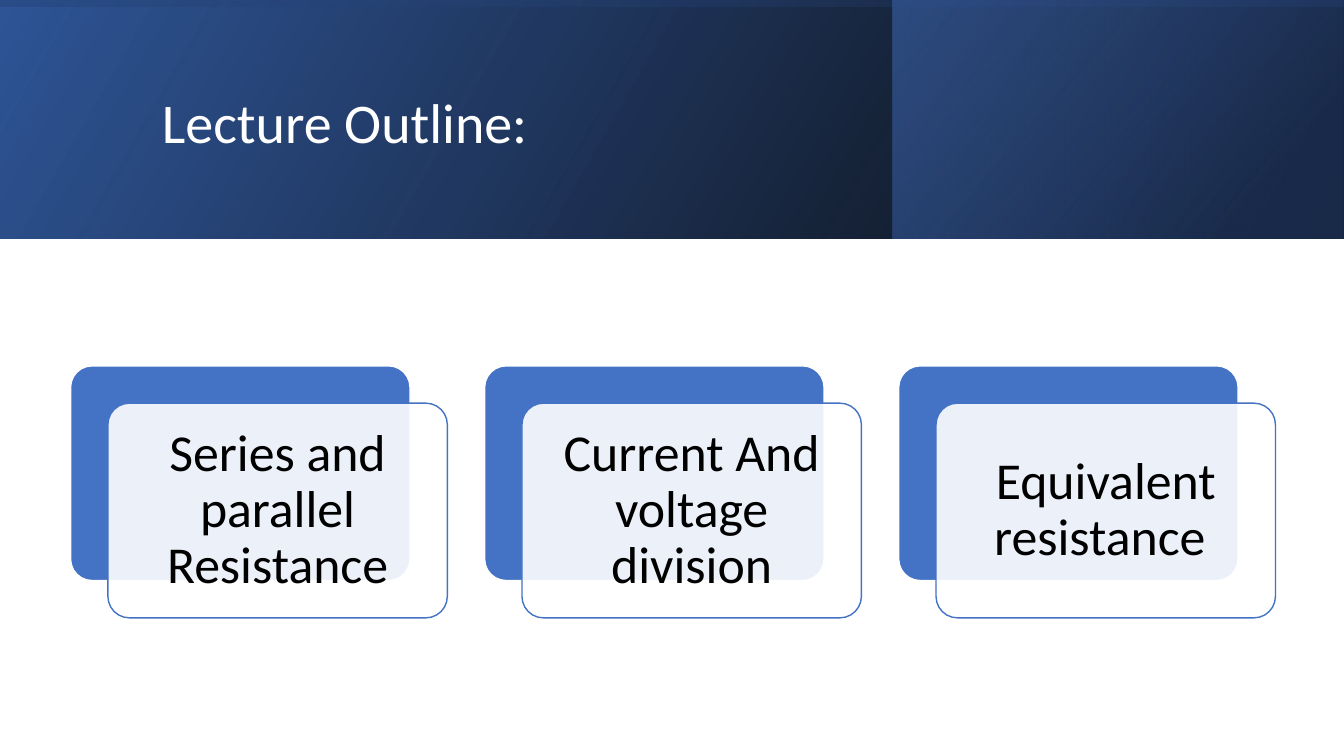
import lxml.etree
import pptx
import pptx.dml.color
import pptx.enum.shapes
import pptx.enum.text
import pptx.oxml
import pptx.oxml.ns
import pptx.util

COLORS = {"black": "000000", "white": "FFFFFF", "navy": "203864",
          "deep": "2F5597", "blue": "4472C4"}
SLIDE_W, SLIDE_H = 13.33, 7.5
BAND_H = 2.37
TOPICS = ["Series and parallel Resistance", "Current And voltage division",
          "Equivalent resistance "]
SHAPES = pptx.enum.shapes.MSO_SHAPE
ALIGN = pptx.enum.text.PP_ALIGN
MIDDLE = pptx.enum.text.MSO_ANCHOR.MIDDLE
qn = pptx.oxml.ns.qn


def rgb(name):
    """Return the named palette colour."""
    return pptx.dml.color.RGBColor.from_string(COLORS[name])


def inches(*values):
    """Convert numbers to inch lengths."""
    return [pptx.util.Inches(v) for v in values]


def set_alpha(color_el, percent):
    """Give a colour element an opacity in percent."""
    lxml.etree.SubElement(color_el, qn("a:alpha")).set("val", str(percent * 1000))


def set_gradient(sp, stops, angle):
    """Fill a shape with a linear gradient of (position, colour, opacity) stops."""
    grad = pptx.oxml.parse_xml(
        f'<a:gradFill {pptx.oxml.ns.nsdecls("a")} rotWithShape="1"><a:gsLst/>'
        f'<a:lin ang="{angle * 60000}" scaled="0"/></a:gradFill>')
    for pos, name, opacity in stops:
        gs = lxml.etree.SubElement(grad[0], qn("a:gs"), pos=str(pos * 1000))
        color = lxml.etree.SubElement(gs, qn("a:srgbClr"), val=COLORS[name])
        set_alpha(color, opacity)
    sp._element.spPr.find(qn("a:prstGeom")).addnext(grad)


def set_text(tf, text, size, color, align, after, insets):
    """Write one formatted, vertically centred paragraph into a text frame."""
    tf.text = text
    left, top, right, bottom = inches(*insets)
    frame = {"word_wrap": True, "vertical_anchor": MIDDLE,
             "auto_size": pptx.enum.text.MSO_AUTO_SIZE.NONE,
             "margin_left": left, "margin_top": top,
             "margin_right": right, "margin_bottom": bottom}
    p = tf.paragraphs[0]
    para = {"alignment": align, "line_spacing": 0.9,
            "space_before": pptx.util.Pt(0), "space_after": pptx.util.Pt(after)}
    font = {"name": "Calibri", "size": pptx.util.Pt(size)}
    r = p.runs[0]
    for target, values in ((tf, frame), (p, para), (r.font, font)):
        for key, value in values.items():
            setattr(target, key, value)
    r.font.color.rgb = rgb(color)


def add_header(slide, x, y, w, h):
    """Draw the layered gradient band and its title."""
    side = w * 0.336
    layers = [
        ((x, y, w, h), 0, 330, [(0, "black", 96), (100, "deep", 100)]),
        ((x + w - side, y, side, h), 0, 320,
         [(19, "navy", 68), (100, "blue", 48)]),
        ((x + (w - h) / 2, y + (h - w) / 2, h, w), 270, 350,
         [(23, "deep", 16), (99, "black", 45)]),
    ]
    for box, rotation, angle, stops in layers:
        sp = slide.shapes.add_shape(SHAPES.RECTANGLE, *inches(*box))
        sp.shadow.inherit = False
        sp.line.fill.background()
        sp.rotation = rotation
        sp._element.spPr.find(qn("a:xfrm")).set("flipH", "1")
        set_gradient(sp, stops, angle)
    title = slide.shapes.title
    title.left, title.top, title.width, title.height = inches(
        x + w * 0.113, y + h * 0.16, w * 0.797, h * 0.726)
    set_text(title.text_frame, "Lecture Outline:", 40, "white", ALIGN.LEFT, 6,
             (0.1, 0.05, 0.1, 0.05))
    slide.shapes._spTree.append(title._element)


def add_plate(slide, x, y, w, h, fill, line):
    """Draw one rounded plate of a card and return it."""
    sp = slide.shapes.add_shape(SHAPES.ROUNDED_RECTANGLE, *inches(x, y, w, h))
    sp.adjustments[0] = 0.1
    sp.shadow.inherit = False
    sp.fill.solid()
    sp.fill.fore_color.rgb = rgb(fill)
    sp.line.color.rgb = rgb(line)
    sp.line.width = pptx.util.Pt(1)
    return sp


def add_cards(slide, x, y, w, h):
    """Lay the topics out as equal cards, each a back plate and a front plate."""
    shift = 0.37
    gap = 0.37
    col = (w - gap * (len(TOPICS) - 1)) / len(TOPICS)
    plate = (col - shift, h - shift)
    for i, topic in enumerate(TOPICS):
        left = x + i * (col + gap)
        add_plate(slide, left, y, *plate, "blue", "white")
        front = add_plate(slide, left + shift, y + shift, *plate, "white", "blue")
        set_alpha(front._element.spPr.find(qn("a:solidFill"))[0], 90)
        set_text(front.text_frame, topic, 37, "black", ALIGN.CENTER, 13,
                 (0.15,) * 4)


def main():
    """Build the slide and save it."""
    prs = pptx.Presentation()
    prs.slide_width, prs.slide_height = inches(SLIDE_W, SLIDE_H)
    slide = prs.slides.add_slide(prs.slide_layouts[5])
    slide.background.fill.solid()
    slide.background.fill.fore_color.rgb = rgb("white")
    add_header(slide, 0, 0, SLIDE_W, BAND_H)
    add_cards(slide, 0.7, 3.63, 11.95, 2.5)
    prs.save("out.pptx")


if __name__ == "__main__":
    main()
